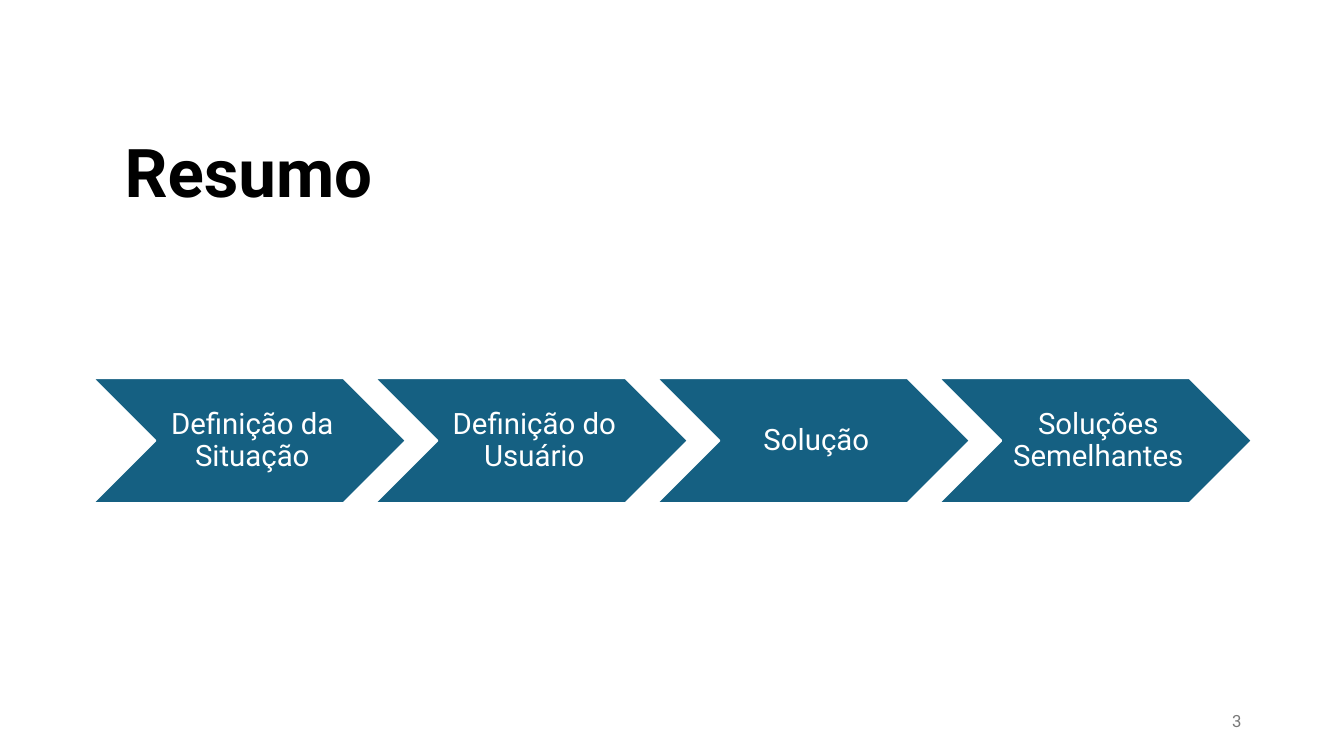
"""Build a summary slide with a row of four chevron steps."""
import pptx
import pptx.dml.color
import pptx.enum.shapes
import pptx.enum.text
import pptx.util

Pt = pptx.util.Pt
ALIGN = pptx.enum.text.PP_ALIGN
FONT = "Roboto"
COLOURS = {"title": "000000", "step": "156082", "white": "FFFFFF", "number": "797979"}
STEPS = ["Definição da Situação", "Definição do Usuário", "Solução", "Soluções Semelhantes"]
STEP_WIDTH, STEP_HEIGHT = 223.8, 89.5
STEP_PITCH = STEP_WIDTH * 0.9


def colour(name):
    return pptx.dml.color.RGBColor.from_string(COLOURS[name])


def write(frame, text, size, colour_name, align, bold=False, line_spacing=1.0):
    frame.word_wrap = True
    frame.vertical_anchor = pptx.enum.text.MSO_ANCHOR.MIDDLE
    paragraph = frame.paragraphs[0]
    paragraph.text = text
    paragraph.alignment = align
    paragraph.line_spacing = line_spacing
    paragraph.font.name = FONT
    paragraph.font.size = Pt(size)
    paragraph.font.bold = bold
    paragraph.font.color.rgb = colour(colour_name)


def add_label(slide, left, top, width, height, *text_style, **options):
    label = slide.shapes.add_textbox(Pt(left), Pt(top), Pt(width), Pt(height))
    write(label.text_frame, *text_style, **options)


def add_step(slide, left, top, text):
    step = slide.shapes.add_shape(
        pptx.enum.shapes.MSO_SHAPE.CHEVRON, Pt(left), Pt(top), Pt(STEP_WIDTH), Pt(STEP_HEIGHT))
    step.shadow.inherit = False
    step.fill.solid()
    step.fill.fore_color.rgb = colour("step")
    step.line.color.rgb = colour("white")
    step.line.width = Pt(1.5)
    frame = step.text_frame
    frame.margin_left = Pt(6.5)
    frame.margin_top = frame.margin_right = frame.margin_bottom = Pt(2.2)
    write(frame, text, 21, "white", ALIGN.CENTER, line_spacing=0.9)


def main():
    deck = pptx.Presentation()
    deck.slide_width, deck.slide_height = Pt(960), Pt(540)
    slide = deck.slides.add_slide(deck.slide_layouts[6])
    add_label(slide, 82, 64, 783, 122.4, "Resumo", 48, "title", ALIGN.LEFT,
              bold=True, line_spacing=0.9)
    for index, text in enumerate(STEPS):
        add_step(slide, 66.2 + index * STEP_PITCH, 270, text)
    add_label(slide, 678, 500.5, 216, 28.8, "3", 12, "number", ALIGN.RIGHT)
    deck.save("out.pptx")


if __name__ == "__main__":
    main()
